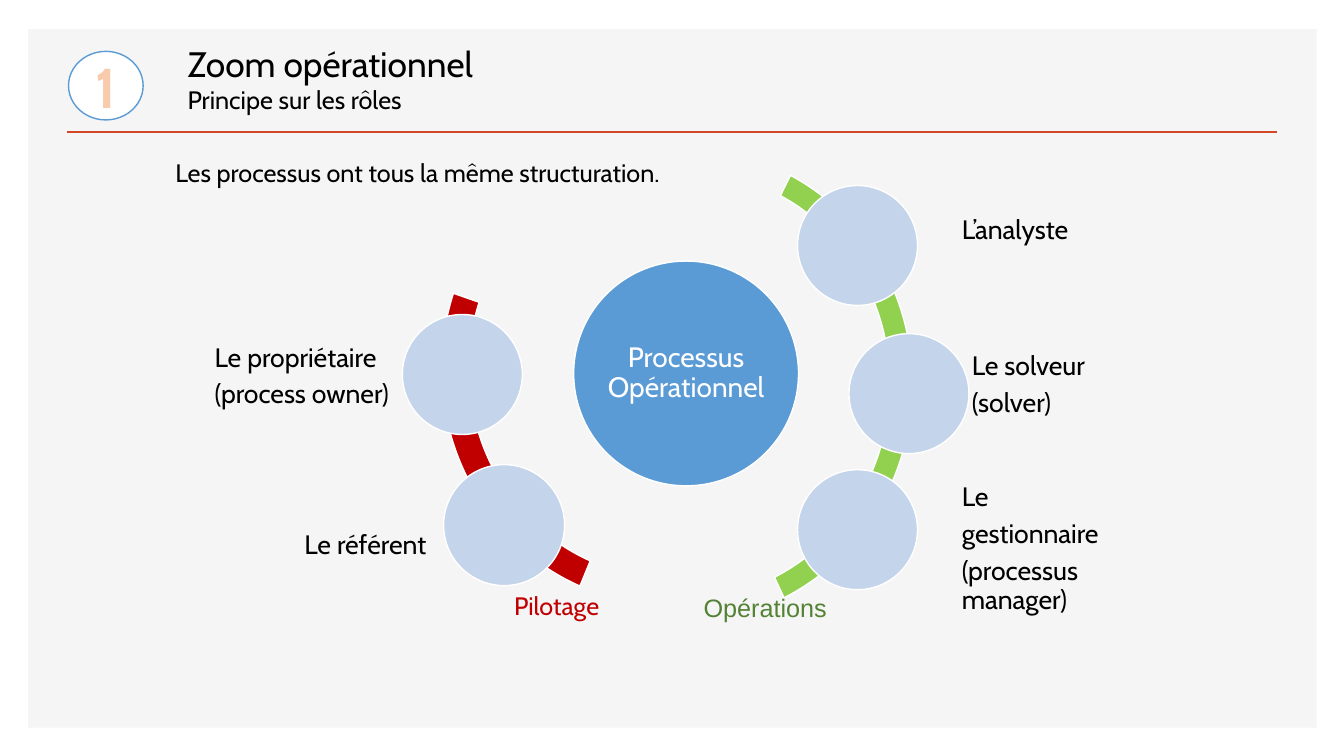
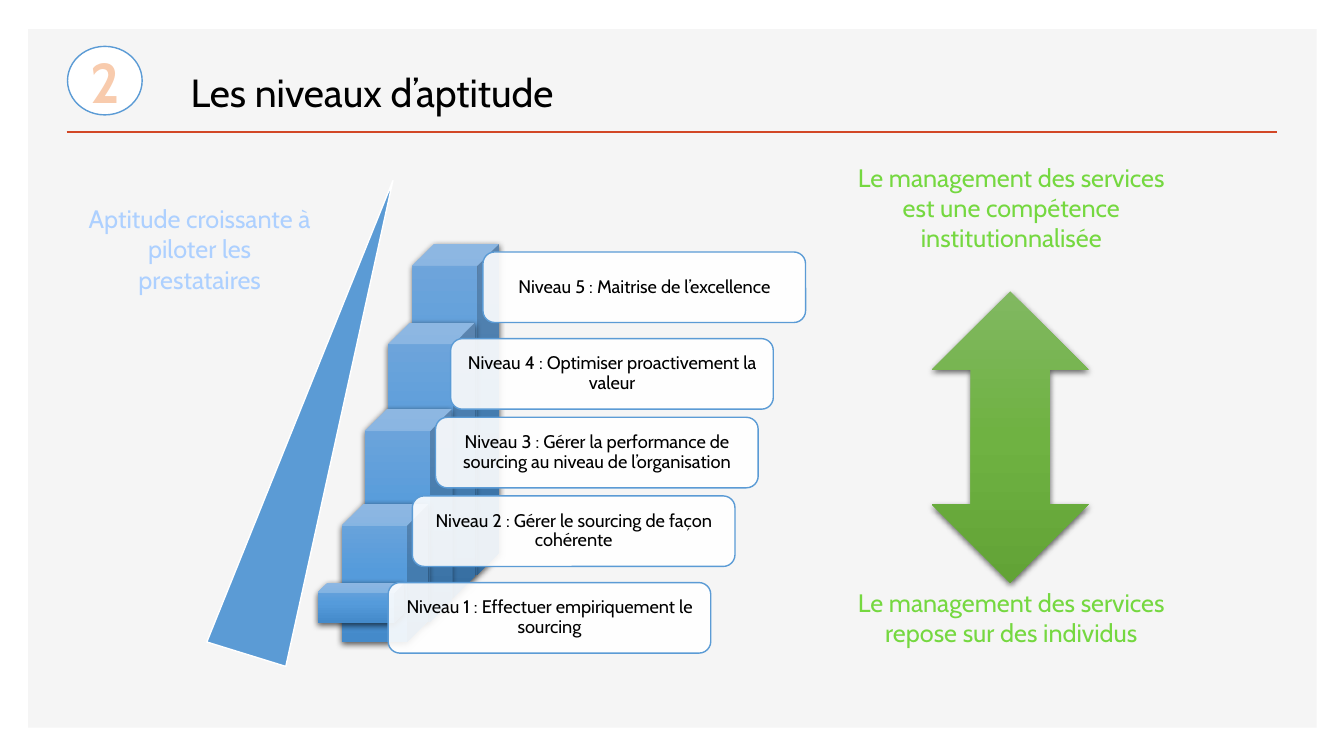
"""Build two slides on process roles and on aptitude levels."""
from dataclasses import dataclass

from pptx import Presentation
from pptx.dml.color import RGBColor
from pptx.enum import shapes, text
from pptx.oxml import parse_xml
from pptx.oxml import ns
from pptx.util import Inches, Pt

PRESET = shapes.MSO_SHAPE
ALIGN = text.PP_ALIGN
ANCHOR = text.MSO_ANCHOR

BLACK, WHITE = "000000", "FFFFFF"
PANEL, RULE = "F5F5F5", "D24726"
BLUE, PALE_BLUE, SKY = "5B9BD5", "C4D5EB", "ADD0FF"
RED, LIME, DARK_GREEN, FRESH_GREEN = "C00000", "92D050", "548235", "75D840"
PEACH = "F8CBAD"
BLUE_STOPS = ("71A6DB", "559BDB", "448ACA")
GREEN_STOPS = ("81B861", "6FB242", "62A336")


@dataclass(frozen=True)
class Area:
    left: float
    top: float
    width: float
    height: float

    def lengths(self) -> tuple:
        return tuple(Inches(v) for v in (self.left, self.top, self.width, self.height))


@dataclass(frozen=True)
class Style:
    size: float
    color: str = BLACK
    face: str = "Cabin"
    align: ALIGN = ALIGN.LEFT
    bold: bool = False
    spacing: float = 1.0
    before: float = 0
    after: float = 0


@dataclass(frozen=True)
class Label:
    area: Area
    lines: tuple[str, ...]


@dataclass(frozen=True)
class Branch:
    arc: Area
    rotation: float
    adjustments: tuple[float, float, float]
    color: str
    discs: tuple[Area, ...]
    labels: tuple[Label, ...]
    caption: Label
    caption_style: Style


@dataclass(frozen=True)
class Level:
    name: str
    cube: Area
    left: float
    top: float


ROLE = Style(19, spacing=0.9, before=3.8, after=1.9)
CORE = Style(20, WHITE, align=ALIGN.CENTER, spacing=0.9)
NUMBER = Style(40, PEACH, align=ALIGN.CENTER, bold=True)
LEVEL = Style(13, align=ALIGN.CENTER, spacing=0.9)
MESSAGE = Style(18, FRESH_GREEN, align=ALIGN.CENTER)
GROWTH = Style(18, SKY, align=ALIGN.CENTER)


def role(left: float, top: float, *lines: str) -> Label:
    return Label(Area(left, top, 2.16, 1.16), lines)


BRANCHES = (
    Branch(
        Area(4.38, 1.31, 4.5, 4.69), 180, (175.28, 11.56, 0.06), RED,
        (Area(4.4, 4.61, 1.2, 1.2), Area(3.99, 3.12, 1.19, 1.19)),
        (role(2.1, 3.16, "Le propriétaire", "(process owner)"),
         role(2.99, 4.84, "Le référent")),
        Label(Area(5, 5.81, 1.11, 0.4), ("Pilotage",)),
        Style(18, RED),
    ),
    Branch(
        Area(4.55, 1.48, 4.5, 4.69), 4.4, (175.28, 36.43, 0.05), LIME,
        (Area(7.91, 1.84, 1.19, 1.19), Area(8.42, 3.31, 1.19, 1.19),
         Area(7.91, 4.66, 1.19, 1.19)),
        (role(9.51, 1.71, "L’analyste"),
         role(9.61, 3.24, "Le solveur", "(solver)"),
         role(9.51, 4.87, "Le", "gestionnaire", "(processus manager)")),
        Label(Area(6.88, 5.83, 1.44, 0.4), ("Opérations",)),
        Style(18, DARK_GREEN, "Arial"),
    ),
)

LEVELS = (
    Level("Niveau 5 : Maitrise de l’excellence",
          Area(4.09, 2.42, 0.86, 3.28), 4.79, 2.5),
    Level("Niveau 4 : Optimiser proactivement la valeur",
          Area(3.85, 3.2, 0.86, 2.73), 4.47, 3.36),
    Level("Niveau 3 : Gérer la performance de sourcing au niveau de l’organisation",
          Area(3.62, 4.06, 0.86, 2.11), 4.32, 4.14),
    Level("Niveau 2 : Gérer le sourcing de façon cohérente",
          Area(3.39, 5, 0.86, 1.37), 4.09, 4.92),
    Level("Niveau 1 : Effectuer empiriquement le sourcing",
          Area(3.15, 5.78, 0.86, 0.4), 3.85, 5.78),
)


def paint(target, color: str) -> None:
    target.rgb = RGBColor.from_string(color)


def write(shape, lines: tuple[str, ...], style: Style, anchor=ANCHOR.TOP,
          inset: float | None = None, wrap: bool = True) -> None:
    frame = shape.text_frame
    frame.word_wrap = wrap
    frame.auto_size = text.MSO_AUTO_SIZE.NONE
    frame.vertical_anchor = anchor
    if inset is not None:
        frame.margin_left = frame.margin_right = Inches(inset)
        frame.margin_top = frame.margin_bottom = Inches(inset)
    for index, line in enumerate(lines):
        para = frame.add_paragraph() if index else frame.paragraphs[0]
        para.text = line
        para.alignment = style.align
        para.line_spacing = style.spacing
        para.space_before = Pt(style.before if index else 0)
        para.space_after = Pt(style.after)
        para.font.name = style.face
        para.font.size = Pt(style.size)
        para.font.bold = style.bold
        paint(para.font.color, style.color)


def add_text(page, area: Area, lines: tuple[str, ...], style: Style, **layout):
    box = page.shapes.add_textbox(*area.lengths())
    write(box, lines, style, **layout)
    return box


def add_figure(page, preset: PRESET, area: Area, fill: str, line: str | None = WHITE):
    shape = page.shapes.add_shape(preset, *area.lengths())
    shape.shadow.inherit = False
    shape.fill.solid()
    paint(shape.fill.fore_color, fill)
    if line:
        paint(shape.line.color, line)
        shape.line.width = Pt(1)
    else:
        shape.line.fill.background()
    return shape


def add_relief(page, preset: PRESET, area: Area, stops: tuple[str, ...]) -> None:
    shape = add_figure(page, preset, area, stops[1], None)
    properties = shape.element.spPr
    marks = "".join(
        f'<a:gs pos="{index * 50000}"><a:srgbClr val="{color}"/></a:gs>'
        for index, color in enumerate(stops))
    gradient = parse_xml(
        f'<a:gradFill {ns.nsdecls("a")} rotWithShape="1"><a:gsLst>{marks}</a:gsLst>'
        '<a:lin ang="5400000" scaled="0"/></a:gradFill>')
    properties.replace(properties.find(ns.qn("a:solidFill")), gradient)
    properties.find(ns.qn("a:effectLst")).append(parse_xml(
        f'<a:outerShdw {ns.nsdecls("a")} blurRad="57150" dist="19050" dir="5400000" '
        'algn="ctr" rotWithShape="0"><a:srgbClr val="000000">'
        '<a:alpha val="63000"/></a:srgbClr></a:outerShdw>'))


def move_frame_to_layout(page) -> None:
    panel = add_figure(page, PRESET.RECTANGLE, Area(0.28, 0.29, 12.78, 6.93), PANEL, None)
    rule = page.shapes.add_connector(
        shapes.MSO_CONNECTOR.STRAIGHT,
        Inches(0.66), Inches(1.31), Inches(12.67), Inches(1.31))
    paint(rule.line.color, RULE)
    rule.line.width = Pt(2)
    rule.element.spPr.append(parse_xml(f'<a:effectLst {ns.nsdecls("a")}/>'))
    tree = page.slide_layout.shapes.element
    for position, shape in enumerate((panel, rule), start=2):
        tree.insert(position, shape.element)


def add_heading(page, title: str, size: float, area: Area,
                number: str, badge: Area, subtitle: str = "") -> None:
    heading = page.shapes.title
    heading.left, heading.top, heading.width, heading.height = area.lengths()
    write(heading, (title,), Style(size), anchor=ANCHOR.BOTTOM)
    if subtitle:
        para = heading.text_frame.paragraphs[0]
        para.add_line_break()
        span = para.add_run()
        span.text = subtitle
        span.font.size = Pt(18)
    disc = add_figure(page, PRESET.OVAL, badge, WHITE, BLUE)
    write(disc, (number,), NUMBER, anchor=ANCHOR.MIDDLE, inset=0, wrap=False)


def add_branch(page, branch: Branch) -> None:
    arc = add_figure(page, PRESET.BLOCK_ARC, branch.arc, branch.color)
    arc.rotation = branch.rotation
    for index, value in enumerate(branch.adjustments):
        arc.adjustments[index] = value
    for disc in branch.discs:
        add_figure(page, PRESET.OVAL, disc, PALE_BLUE)
    for label in branch.labels:
        add_text(page, label.area, label.lines, ROLE, anchor=ANCHOR.MIDDLE, inset=0.03)
    add_text(page, branch.caption.area, branch.caption.lines, branch.caption_style, wrap=False)


def build_roles(page) -> None:
    add_heading(page, "Zoom opérationnel", 25.2, Area(1.76, 0.49, 6.33, 0.7),
                "1", Area(0.68, 0.51, 0.74, 0.68), "Principe sur les rôles")
    add_text(page, Area(1.64, 1.51, 8.88, 0.4),
             ("Les processus ont tous la même structuration.",), Style(18))
    for branch in BRANCHES:
        add_branch(page, branch)
    core = add_figure(page, PRESET.OVAL, Area(5.69, 2.59, 2.23, 2.23), BLUE)
    write(core, ("Processus\vOpérationnel",), CORE, anchor=ANCHOR.MIDDLE, inset=0, wrap=False)


def add_level(page, level: Level) -> None:
    card = add_figure(page, PRESET.ROUNDED_RECTANGLE,
                      Area(level.left, level.top, 3.2, 0.7), WHITE, BLUE)
    tint = card.element.spPr.find(ns.qn("a:solidFill"))[0]
    tint.append(parse_xml(f'<a:alpha {ns.nsdecls("a")} val="90000"/>'))
    write(card, (level.name,), LEVEL, anchor=ANCHOR.MIDDLE, inset=0.05)


def build_levels(page) -> None:
    add_heading(page, "Les niveaux d’aptitude", 28, Area(1.79, 0.49, 6.3, 0.7),
                "2", Area(0.67, 0.46, 0.74, 0.68))
    for level in LEVELS:
        add_relief(page, PRESET.CUBE, level.cube, BLUE_STOPS)
    wedge = add_figure(page, PRESET.ISOSCELES_TRIANGLE, Area(2.76, 1.68, 0.82, 4.92), BLUE)
    wedge.rotation = 17.2
    for level in LEVELS:
        add_level(page, level)
    add_relief(page, PRESET.UP_DOWN_ARROW, Area(9.24, 2.89, 1.56, 2.89), GREEN_STOPS)
    for top, message in (
        (1.56, "Le management des services est une compétence institutionnalisée"),
        (5.78, "Le management des services repose sur des individus"),
    ):
        add_text(page, Area(8.39, top, 3.28, 1.17), (message,), MESSAGE)
    add_text(page, Area(0.77, 1.97, 2.42, 1.17),
             ("Aptitude croissante à\vpiloter les\vprestataires",), GROWTH)


def main() -> None:
    deck = Presentation()
    deck.slide_width, deck.slide_height = Inches(13.33), Inches(7.5)
    title_only = deck.slide_layouts[5]
    pages = [deck.slides.add_slide(title_only) for _ in range(2)]
    move_frame_to_layout(pages[0])
    build_roles(pages[0])
    build_levels(pages[1])
    deck.save("out.pptx")


if __name__ == "__main__":
    main()
